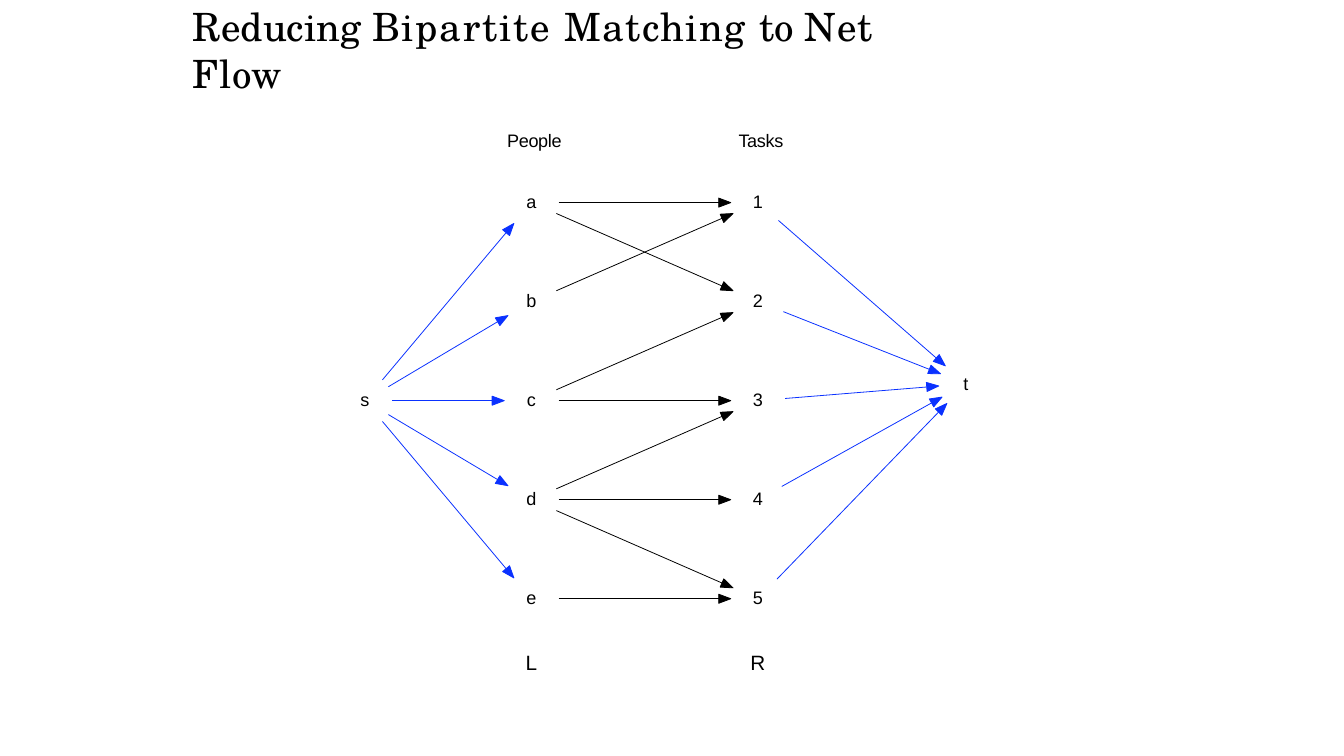
import math
import pptx
import pptx.util
import pptx.dml.color
import pptx.enum.shapes
import pptx.enum.text
import pptx.oxml.ns
import lxml.etree

Inch = pptx.util.Inches
Text = pptx.enum.text
WIDE, HIGH = 13.33, 7.5
BLACK, BLUE = "000000", "0A31FF"
GAP = 0.27             # clear space around a node
HEAD, HALF = 0.12, 0.045   # arrowhead length and half width
THIN = pptx.util.Pt(0.56)

TITLE = [("Reducing ", 0), ("Bipartite ", 1.2), ("Matching ", 1),
         ("to ", 0), ("Net ", 1.3), ("Flow", 0.6)]
# Columns are shares of the graph's width; rows count down from the first pair
COLS = {"s": 0, "L": 0.277, "R": 0.654, "t": 1}
NODES = {"s": (COLS["s"], 2), "t": (COLS["t"], 1.83)}
for row, (who, task) in enumerate(zip("abcde", "12345")):
    NODES[who] = (COLS["L"], row)
    NODES[task] = (COLS["R"], row)
PAIRS = ["a2", "a1", "b1", "c3", "c2", "d4", "d3", "e5", "d5"]
FLOWS = [n + "t" for n in "12345"] + ["s" + n for n in "abcde"]


def paint(color):
    return pptx.dml.color.RGBColor.from_string(color)


def apply(item, values):
    for name, value in values.items():
        setattr(item, name, value)


def write(par, text, face, size, space=0):
    run = par.add_run()
    run.text = text
    apply(run.font, {"name": face, "size": pptx.util.Pt(size), "bold": False})
    run.font.color.rgb = paint(BLACK)
    if space:
        run._r.get_or_add_rPr().set("spc", str(round(space * 100)))


def head_line(slide, box):
    """Title, wrapped in its box."""
    left, top, wide, high = box
    title = slide.shapes.title
    apply(title, {"left": Inch(left), "top": Inch(top),
                  "width": Inch(wide), "height": Inch(high)})
    frame = title.text_frame
    apply(frame, {"margin_left": Inch(0.03), "margin_top": Inch(0.04),
                  "margin_right": 0, "margin_bottom": 0, "word_wrap": True,
                  "vertical_anchor": Text.MSO_ANCHOR.TOP,
                  "auto_size": Text.MSO_AUTO_SIZE.NONE})
    par = frame.paragraphs[0]
    par.alignment = Text.PP_ALIGN.LEFT
    for text, space in TITLE:
        write(par, text, "TeX Gyre Schola", 27.8, space)


def label(slide, text, x, y, wide=0.16, high=0.25, size=12.9, space=0):
    """Text centred on a point."""
    box = slide.shapes.add_textbox(Inch(x - wide / 2), Inch(y - high / 2 - 0.01),
                                   Inch(wide), Inch(high))
    frame = box.text_frame
    apply(frame, {"margin_left": 0, "margin_top": 0, "margin_right": 0,
                  "margin_bottom": 0, "word_wrap": False,
                  "vertical_anchor": Text.MSO_ANCHOR.MIDDLE})
    par = frame.paragraphs[0]
    par.alignment = Text.PP_ALIGN.CENTER
    write(par, text, "Arial", size, space)


def arrow(slide, start, end, color):
    """Shaft and solid head between two node centres."""
    span = math.dist(start, end)
    ux, uy = ((b - a) / span for a, b in zip(start, end))

    def spot(far, side=0):
        return (Inch(start[0] + far * ux - side * uy),
                Inch(start[1] + far * uy + side * ux))

    tip = span - GAP
    base = tip - HEAD
    shaft = slide.shapes.add_connector(
        pptx.enum.shapes.MSO_CONNECTOR.STRAIGHT, *spot(GAP), *spot(base))
    lxml.etree.SubElement(shaft._element.spPr, pptx.oxml.ns.qn("a:effectLst"))
    pen = slide.shapes.build_freeform(*spot(tip), scale=1.0)
    pen.add_line_segments([spot(base, HALF), spot(base, -HALF)], close=True)
    head = pen.convert_to_shape()
    head.shadow.inherit = False
    head.fill.solid()
    head.fill.fore_color.rgb = paint(color)
    for part in (shaft, head):
        part.line.color.rgb = paint(color)
        part.line.width = THIN


def graph(slide, box):
    """Flow network: source, people, tasks, sink."""
    left, top, wide, high = box

    def place(col, row):
        return left + col * wide, top + row * high / 4

    spots = {name: place(*cell) for name, cell in NODES.items()}
    # Nodes
    for name, (x, y) in spots.items():
        label(slide, name, x, y)
    # Edges
    for edges, color in ((PAIRS, BLACK), (FLOWS, BLUE)):
        for start, end in edges:
            arrow(slide, spots[start], spots[end], color)
    # Column names above and below
    for side, name, width in (("L", "People", 0.63), ("R", "Tasks", 0.53)):
        x, y = place(COLS[side], -0.62)
        label(slide, name, x + 0.03, y, width, space=-0.2)
        label(slide, side, *place(COLS[side], 4.65), 0.2, 0.29, 14.8)


def main():
    deck = pptx.Presentation()
    deck.slide_width, deck.slide_height = Inch(WIDE), Inch(HIGH)
    slide = deck.slides.add_slide(deck.slide_layouts[5])
    head_line(slide, (1.88, -0.01, 7.62, 0.5))
    graph(slide, (3.62, 2.01, 5.96, 3.93))
    deck.save("out.pptx")


if __name__ == "__main__":
    main()
